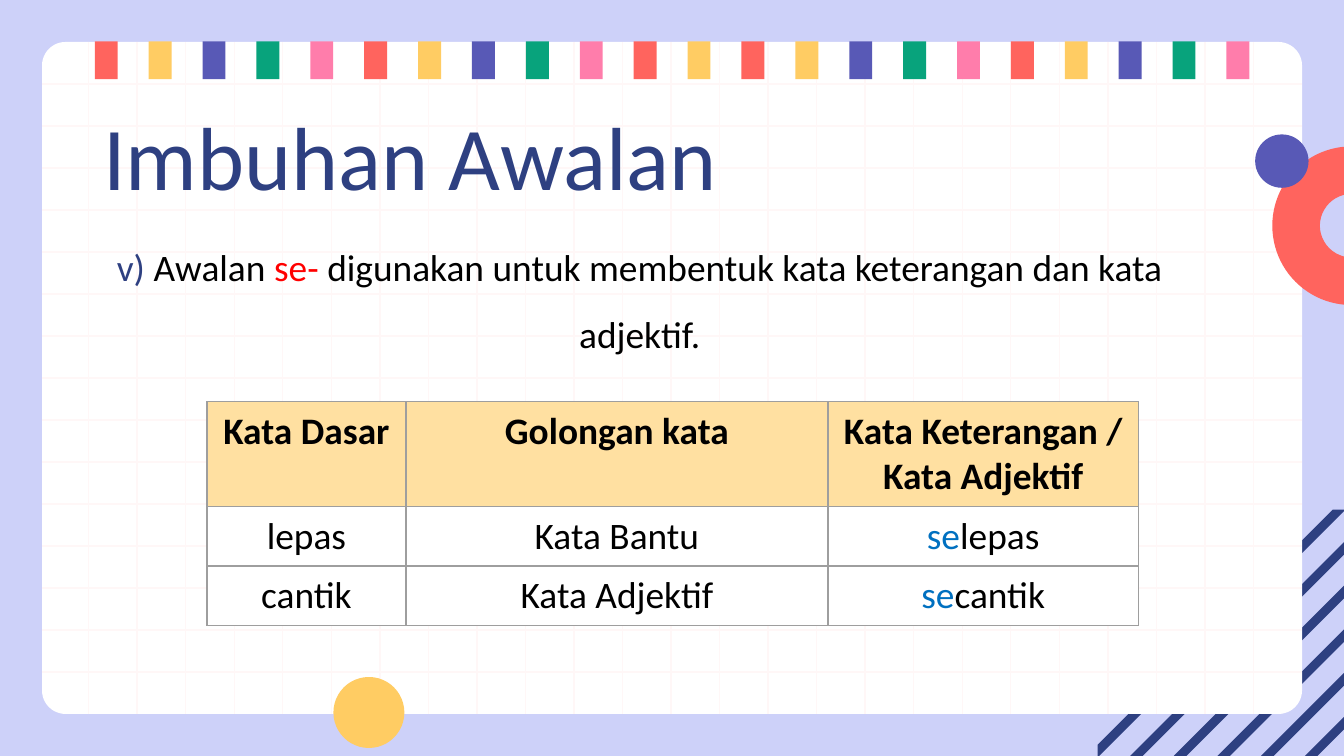
from lxml.etree import SubElement
from pptx import Presentation
from pptx.dml.color import RGBColor
from pptx.enum.shapes import MSO_CONNECTOR, MSO_SHAPE
from pptx.enum.text import MSO_ANCHOR, MSO_AUTO_SIZE, PP_ALIGN
from pptx.oxml.ns import qn
from pptx.util import Pt

FONT = "Calibri"
NAVY, BLACK, RED, BLUE = "2E4081", "000000", "FF0000", "0070C0"
CORAL, YELLOW, PURPLE, GREEN, PINK = "FF645E", "FFCC63", "5859B6", "08A37C", "FF7DAB"
WHITE, LILAC, GRID, HEADER, BORDER = "FFFFFF", "CDD1F9", "FFF7F7", "FFE0A1", "9E9E9E"

# Text is a list of (words, colour) runs
TITLE = [("Imbuhan Awalan", NAVY)]
BODY = [
    ("v) ", NAVY),
    ("Awalan ", BLACK),
    ("se- ", RED),
    ("digunakan untuk membentuk kata keterangan dan kata adjektif.", BLACK),
]
TABLE = [
    [[("Kata Dasar", BLACK)], [("Golongan kata", BLACK)],
     [("Kata Keterangan / Kata Adjektif", BLACK)]],
    [[("lepas", BLACK)], [("Kata Bantu", BLACK)], [("se", BLUE), ("lepas", BLACK)]],
    [[("cantik", BLACK)], [("Kata Adjektif", BLACK)], [("se", BLUE), ("cantik", BLACK)]],
]
COLUMN_WIDTHS = [106.6, 226.1, 166.3]
ROW_HEIGHT = 29.5

CARD_LEFT, CARD_TOP, CARD_W, CARD_H = 22.5, 22.5, 675, 360
FLAG_COLOURS = [CORAL, YELLOW, PURPLE, GREEN, PINK]
FLAG_COUNT, FLAGS_PER_RUN, FLAG_STEP = 22, 12, 28.87

prs = Presentation()
prs.slide_width, prs.slide_height = Pt(720), Pt(405)
s = prs.slides.add_slide(prs.slide_layouts[0])


def rgb(colour):
    return RGBColor.from_string(colour)


def paint(sp, colour):
    sp.fill.solid()
    sp.fill.fore_color.rgb = rgb(colour)
    sp.line.fill.background()
    sp.shadow.inherit = False


def add_shape(kind, left, top, width, height, colour):
    sp = s.shapes.add_shape(kind, Pt(left), Pt(top), Pt(width), Pt(height))
    paint(sp, colour)
    return sp


def add_line(x1, y1, x2, y2):
    line = s.shapes.add_connector(MSO_CONNECTOR.STRAIGHT, Pt(x1), Pt(y1), Pt(x2), Pt(y2))
    line.line.color.rgb = rgb(GRID)
    line.line.width = Pt(0.75)
    SubElement(line._element.spPr, qn("a:effectLst"))


def write(p, runs, size, bold=False):
    for words, colour in runs:
        r = p.add_run()
        r.text = words
        r.font.name, r.font.size, r.font.bold = FONT, Pt(size), bold
        r.font.color.rgb = rgb(colour)


def fill_placeholder(sp, left, top, width, height, runs, size, align):
    """Place, fill and bring to the front; returns the paragraph."""
    sp.left, sp.top, sp.width, sp.height = Pt(left), Pt(top), Pt(width), Pt(height)
    tf = sp.text_frame
    tf.word_wrap, tf.auto_size, tf.vertical_anchor = True, MSO_AUTO_SIZE.NONE, MSO_ANCHOR.TOP
    tf.margin_left = tf.margin_right = tf.margin_top = tf.margin_bottom = Pt(7.2)
    p = tf.paragraphs[0]
    p.alignment, p.space_before = align, Pt(0)
    write(p, runs, size)
    s.shapes._spTree.append(sp._element)
    return p


def add_stripes(left=588, top=273, right=720, bottom=405):
    """Diagonal bands x + y = c .. c + width, clipped to a square corner."""
    count, first, step, width = 7, 1104, 23.4, 6.8

    def upper(c):
        x = min(right, c - top)
        return x, c - x

    def lower(c):
        y = min(bottom, c - left)
        return c - y, y

    for i in range(count):
        c = first - i * step
        d = c + width
        on_corner = c < right + top < d
        points = [upper(c), lower(c)]
        points += [(left, bottom)] if on_corner else []
        points += [lower(d), upper(d)]
        points += [(right, top)] if on_corner else []
        start, *rest = [(Pt(x), Pt(y)) for x, y in points]
        builder = s.shapes.build_freeform(*start)
        builder.add_line_segments(rest, close=True)
        paint(builder.convert_to_shape(), NAVY)


def add_borders(cell):
    tcPr = cell._tc.get_or_add_tcPr()
    for side in ("lnL", "lnR", "lnT", "lnB"):
        ln = SubElement(tcPr, qn(f"a:{side}"), w=str(Pt(0.75)))
        SubElement(SubElement(ln, qn("a:solidFill")), qn("a:srgbClr"), val=BORDER)


s.background.fill.solid()
s.background.fill.fore_color.rgb = rgb(LILAC)
add_stripes()

# Card with its grid
card = add_shape(MSO_SHAPE.ROUNDED_RECTANGLE, CARD_LEFT, CARD_TOP, CARD_W, CARD_H, WHITE)
card.adjustments[0] = 0.035
for i in range(1, 16):
    y = CARD_TOP + 22.5 * i
    add_line(CARD_LEFT, y, CARD_LEFT + CARD_W, y)
for i in range(25):
    x = 47.5 + 26 * i
    add_line(x, CARD_TOP, x, CARD_TOP + CARD_H)

# Row of flags, the colour order starting afresh after each run
for i in range(FLAG_COUNT):
    colour = FLAG_COLOURS[i % FLAGS_PER_RUN % len(FLAG_COLOURS)]
    add_shape(MSO_SHAPE.RECTANGLE, 50.8 + FLAG_STEP * i, 22.2, 12.3, 20.2, colour)

# Half ring open to the right, then the two dots
ring = add_shape(MSO_SHAPE.BLOCK_ARC, 681.6, 78.4, 85, 85, CORAL)
ring.adjustments[0], ring.adjustments[1], ring.adjustments[2] = 54, 162, 0.3
add_shape(MSO_SHAPE.OVAL, 178.6, 362.7, 38, 38, YELLOW)
add_shape(MSO_SHAPE.OVAL, 672.4, 72, 28.6, 28.6, PURPLE)

fill_placeholder(s.shapes.title, 48.2, 46.8, 607, 45.4, TITLE, 48, PP_ALIGN.LEFT)
p = fill_placeholder(s.placeholders[1], 42.5, 111.6, 589.7, 254.9, BODY, 20, PP_ALIGN.CENTER)
p.line_spacing = 1.5
pPr = p._p.get_or_add_pPr()
pPr.set("marL", str(Pt(10.8)))
pPr.set("indent", "0")

frame = s.shapes.add_table(len(TABLE), len(COLUMN_WIDTHS), Pt(110.9), Pt(215.3),
                           Pt(sum(COLUMN_WIDTHS)), Pt(ROW_HEIGHT * len(TABLE)))
table = frame.table
for column, width in zip(table.columns, COLUMN_WIDTHS):
    column.width = Pt(width)
for i, row in enumerate(TABLE):
    table.rows[i].height = Pt(ROW_HEIGHT)
    for j, runs in enumerate(row):
        cell = table.cell(i, j)
        add_borders(cell)
        cell.fill.solid()
        cell.fill.fore_color.rgb = rgb(WHITE if i else HEADER)
        p = cell.text_frame.paragraphs[0]
        p.alignment = PP_ALIGN.CENTER
        write(p, runs, 20, bold=i == 0)

prs.save("out.pptx")
